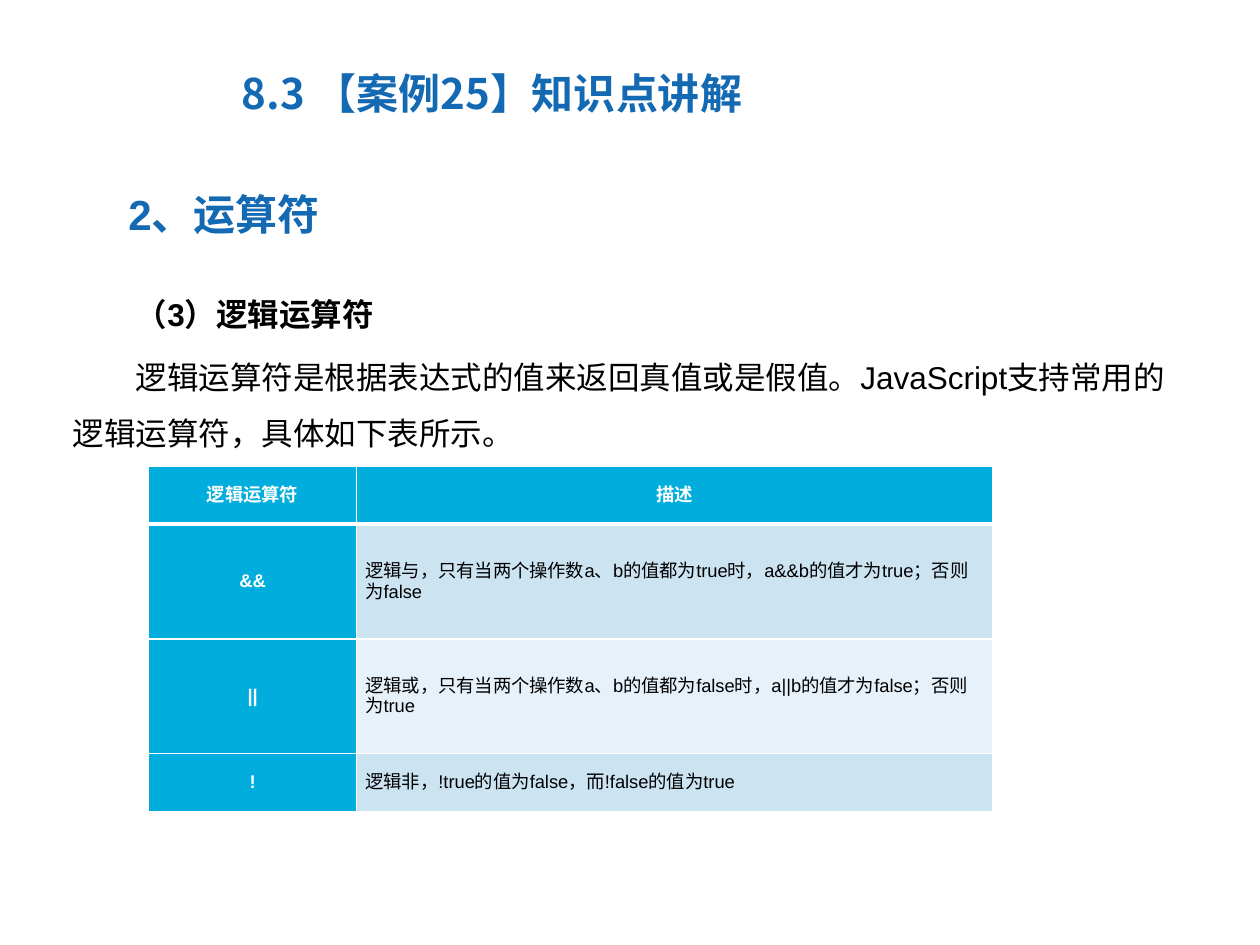
from lxml import etree
from pptx import Presentation
from pptx.dml.color import RGBColor
from pptx.enum.text import MSO_ANCHOR as Anchor, PP_ALIGN as Align
from pptx.oxml.ns import qn
from pptx.util import Inches, Pt

BLUE, CYAN, WHITE, BLACK = "1369B2", "00ADDC", "FFFFFF", "000000"
BANDS = ["CCE3F2", "E7F1F9"]
ROWS = [
    ("逻辑运算符", "描述"),
    ("&&", "逻辑与，只有当两个操作数a、b的值都为true时，a&&b的值才为true；否则为false"),
    ("||", "逻辑或，只有当两个操作数a、b的值都为false时，a||b的值才为false；否则为true"),
    ("!", "逻辑非，!true的值为false，而!false的值为true"),
]


def color(value):
    return RGBColor.from_string(value)


def style(p, size, fill, bold=True, font="Arial"):
    for r in p.runs:
        r.font.size = Pt(size)
        r.font.bold = bold
        r.font.name = font
        r.font.color.rgb = color(fill)
        ea = etree.SubElement(r.font._element, qn("a:ea"))
        ea.set("typeface", font)


def indent(p):
    pPr = p._p.get_or_add_pPr()
    pPr.set("marL", "0")
    pPr.set("indent", str(Inches(0.5)))


def add_text(s, left, top, width, height, text):
    tf = s.shapes.add_textbox(Inches(left), Inches(top), Inches(width), Inches(height)).text_frame
    tf.word_wrap = True
    tf.text = text
    return tf.paragraphs


def add_border(cell, side, width):
    tcPr = cell._tc.get_or_add_tcPr()
    ln = etree.SubElement(tcPr, qn(f"a:ln{side}"), w=str(Pt(width)))
    fill = etree.SubElement(ln, qn("a:solidFill"))
    etree.SubElement(fill, qn("a:srgbClr"), val=WHITE)


def fill_cell(cell, text, row, col):
    strong = row == 0 or col == 0
    cell.margin_left = cell.margin_right = Inches(0.07)
    cell.margin_top = cell.margin_bottom = 0
    cell.vertical_anchor = Anchor.MIDDLE
    for side in "LRTB":
        under_header = (row, side) in ((0, "B"), (1, "T"))
        add_border(cell, side, 3 if under_header else 1)
    cell.fill.solid()
    cell.fill.fore_color.rgb = color(CYAN if strong else BANDS[(row - 1) % 2])
    cell.text = text
    p = cell.text_frame.paragraphs[0]
    p.alignment = Align.CENTER if strong else Align.LEFT
    style(p, 10.5, WHITE if strong else BLACK, strong)


def add_operator_table(s):
    table = s.shapes.add_table(len(ROWS), 2, Inches(1.18), Inches(3.7), Inches(6.7), Inches(2.74)).table
    for column, width in zip(table.columns, (1.65, 5.05)):
        column.width = Inches(width)
    for row, height in zip(table.rows, (0.46, 0.91, 0.91, 0.46)):
        row.height = Inches(height)
    for i, texts in enumerate(ROWS):
        for j, text in enumerate(texts):
            fill_cell(table.cell(i, j), text, i, j)


def main():
    prs = Presentation()
    prs.slide_width, prs.slide_height = Inches(10), Inches(7.5)
    s = prs.slides.add_slide(prs.slide_layouts[6])

    title = add_text(s, 1.82, 0.49, 8.49, 0.79, "8.3 【案例25】知识点讲解")[0]
    style(title, 24, BLUE, font="Noto Sans CJK SC")

    body = add_text(
        s, 0.48, 2.14, 9, 1.63,
        "（3）逻辑运算符\n"
        "逻辑运算符是根据表达式的值来返回真值或是假值。JavaScript支持常用的逻辑运算符，具体如下表所示。",
    )
    for p, bold in zip(body, (True, False)):
        indent(p)
        p.line_spacing = 1.5
        p.space_before = Pt(3.6)
        style(p, 18, BLACK, bold)

    heading = add_text(s, 0.42, 1.45, 8.43, 0.5, "2、运算符")[0]
    indent(heading)
    style(heading, 24, BLUE)

    add_operator_table(s)
    prs.save("out.pptx")


if __name__ == "__main__":
    main()
